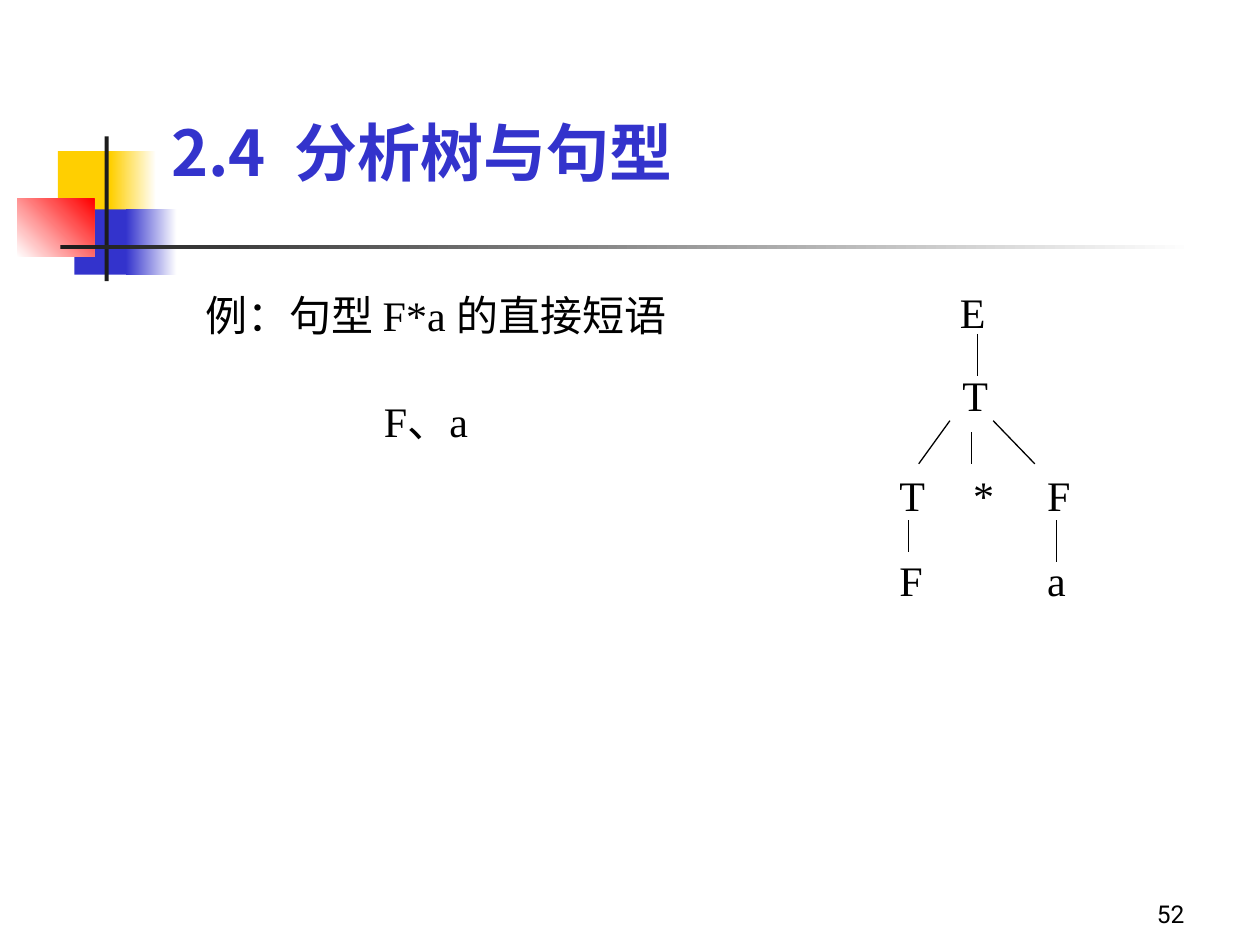
import dataclasses

import pptx
import pptx.dml.color
import pptx.enum.shapes
import pptx.enum.text
import pptx.oxml.ns
import pptx.util
from lxml import etree

Cm = pptx.util.Cm
Pt = pptx.util.Pt
Anchor = pptx.enum.text.MSO_ANCHOR
Align = pptx.enum.text.PP_ALIGN
AutoSize = pptx.enum.text.MSO_AUTO_SIZE


@dataclasses.dataclass(frozen=True)
class Theme:
    yellow: str = "FFCF01"
    blue: str = "3333CC"
    red: str = "FF0000"
    dark: str = "1C1C1C"
    white: str = "FFFFFF"
    black: str = "000000"
    serif: str = "Times New Roman"
    sans: str = "Roboto"
    chinese: str = "Noto Sans CJK SC"
    title_size: int = 36
    body_size: int = 24
    number_size: int = 14
    line_width: float = 0.75


THEME = Theme()


def rgb(color):
    return pptx.dml.color.RGBColor.from_string(color)


def format_text(paragraph, font, size, color, bold=False):
    for span in paragraph.runs:
        span.font.name = font
        span.font.size = Pt(size)
        span.font.bold = bold
        span.font.color.rgb = rgb(color)
        properties = span.font._element
        east_asian = etree.SubElement(properties, pptx.oxml.ns.qn("a:ea"))
        east_asian.set("typeface", THEME.chinese)


def add_block(page, left, top, width, height, color, end_color=None, angle=0):
    block = page.shapes.add_shape(
        pptx.enum.shapes.MSO_SHAPE.RECTANGLE, Cm(left), Cm(top), Cm(width), Cm(height)
    )
    block.shadow.inherit = False
    block.line.fill.background()
    if end_color is None:
        block.fill.solid()
        block.fill.fore_color.rgb = rgb(color)
    else:
        block.fill.gradient()
        block.fill.gradient_angle = angle
        for stop, stop_color in zip(block.fill.gradient_stops, (color, end_color)):
            stop.color.rgb = rgb(stop_color)


def add_decoration(page):
    add_block(page, 1.17, 3.05, 1.22, 1.32, THEME.yellow)
    add_block(page, 2.23, 3.05, 0.92, 1.32, THEME.yellow, THEME.white)
    add_block(page, 1.5, 4.22, 1.17, 1.32, THEME.blue)
    add_block(page, 2.54, 4.22, 1.02, 1.32, THEME.blue, THEME.white)
    add_block(page, 0.35, 4.01, 1.55, 1.17, THEME.white, THEME.red, angle=45)
    add_block(page, 2.11, 2.75, 0.08, 2.92, THEME.dark)
    add_block(page, 1.22, 4.94, 22.86, 0.09, THEME.dark, THEME.white)


def set_title(page, text):
    title = page.shapes.title
    title.left, title.top, title.width, title.height = Cm(3.2), Cm(1.73), Cm(21.64), Cm(2.2)
    frame = title.text_frame
    frame.text = text
    frame.auto_size = AutoSize.NONE
    frame.vertical_anchor = Anchor.BOTTOM
    paragraph = frame.paragraphs[0]
    paragraph.alignment = Align.LEFT
    format_text(paragraph, THEME.chinese, THEME.title_size, THEME.blue, bold=True)


def add_text(page, text, left, top, width, height=1.27):
    box = page.shapes.add_textbox(Cm(left), Cm(top), Cm(width), Cm(height))
    frame = box.text_frame
    frame.word_wrap = True
    frame.auto_size = AutoSize.SHAPE_TO_FIT_TEXT
    frame.text = text
    paragraph = frame.paragraphs[0]
    paragraph.space_before = Pt(15)
    format_text(paragraph, THEME.serif, THEME.body_size, THEME.black)


def add_page_number(page, text):
    box = page.shapes.add_textbox(Cm(18.85), Cm(17.58), Cm(5.28), Cm(1.27))
    frame = box.text_frame
    frame.word_wrap = True
    frame.vertical_anchor = Anchor.BOTTOM
    frame.text = text
    paragraph = frame.paragraphs[0]
    paragraph.alignment = Align.RIGHT
    format_text(paragraph, THEME.sans, THEME.number_size, THEME.black)


def add_branch(page, start_x, start_y, end_x, end_y):
    branch = page.shapes.add_connector(
        pptx.enum.shapes.MSO_CONNECTOR.STRAIGHT,
        Cm(start_x), Cm(start_y), Cm(end_x), Cm(end_y),
    )
    branch.line.color.rgb = rgb(THEME.black)
    branch.line.width = Pt(THEME.line_width)
    etree.SubElement(branch._element.spPr, pptx.oxml.ns.qn("a:effectLst"))


def add_parse_tree(page):
    add_text(page, "E", 19.1, 5.66, 1.35)
    add_text(page, "T", 19.15, 7.32, 1.35)
    columns = (17.88, 19.37, 20.86)
    for top, symbols in ((9.35, ("T", "*", "F")), (11.05, ("F", None, "a"))):
        for left, symbol in zip(columns, symbols):
            if symbol:
                add_text(page, symbol, left, top, 0.84)
    branches = (
        (19.7, 6.73, 19.7, 7.57),
        (19.15, 8.48, 18.52, 9.35),
        (19.58, 8.71, 19.58, 9.35),
        (20.02, 8.48, 20.86, 9.35),
        (18.31, 10.49, 18.31, 11.13),
        (21.3, 10.49, 21.3, 11.33),
    )
    for branch in branches:
        add_branch(page, *branch)


def main():
    deck = pptx.Presentation()
    deck.slide_width, deck.slide_height = Cm(25.4), Cm(19.05)
    page = deck.slides.add_slide(deck.slide_layouts[5])
    add_decoration(page)
    set_title(page, "2.4  分析树与句型")
    add_text(page, "例：句型 F*a 的直接短语", 3.89, 5.72, 10, 2.29)
    add_text(page, "F、a", 7.49, 7.85, 6.4)
    add_parse_tree(page)
    add_page_number(page, "52")
    deck.save("out.pptx")


if __name__ == "__main__":
    main()
